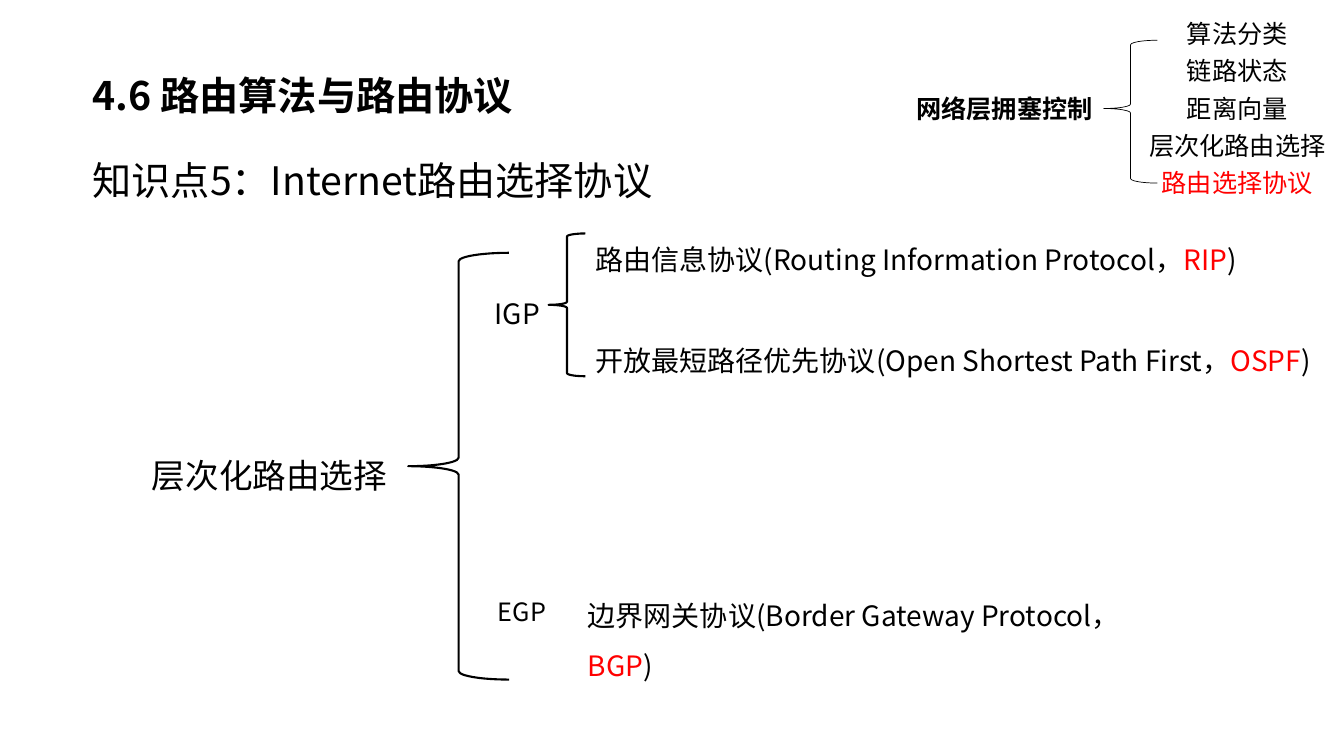
from dataclasses import dataclass
from typing import NamedTuple, Optional

from lxml.etree import SubElement
from pptx import Presentation
from pptx.dml.color import RGBColor as Rgb
from pptx.enum.shapes import MSO_SHAPE as Preset
from pptx.enum.text import MSO_ANCHOR as Anchor, MSO_AUTO_SIZE as AutoSize, PP_ALIGN as Align
from pptx.oxml.ns import qn
from pptx.util import Inches, Pt


@dataclass(frozen=True)
class Theme:
    font: str = "Noto Sans CJK SC"
    ink: Rgb = Rgb(0, 0, 0)
    accent: Rgb = Rgb(255, 0, 0)
    heading: int = 28
    root: int = 24
    branch: int = 20
    small: int = 18


THEME = Theme()
COLUMNS, ROWS = 160, 90


class Area(NamedTuple):
    """Left, top, width and height in grid columns and rows."""
    left: float
    top: float
    width: float
    height: float


class Span(NamedTuple):
    text: str
    color: Rgb = THEME.ink


@dataclass(frozen=True)
class Label:
    area: Area
    paras: list[list[Span]]
    size: int
    bold: bool = False
    spacing: Optional[float] = None
    gap: float = 0
    align: Align = Align.LEFT
    anchor: Anchor = Anchor.TOP
    inset: tuple[float, float] = (0.1, 0.05)
    wrap: bool = True


@dataclass(frozen=True)
class Brace:
    area: Area
    weight: float
    middle: float = 0.5


deck = Presentation()
deck.slide_width, deck.slide_height = Inches(13.33), Inches(7.5)
page = deck.slides.add_slide(deck.slide_layouts[1])


def place(area: Area) -> tuple[int, int, int, int]:
    column, row = deck.slide_width / COLUMNS, deck.slide_height / ROWS
    return (round(area.left * column), round(area.top * row),
            round(area.width * column), round(area.height * row))


def write_label(label: Label, box=None) -> None:
    """Fill a new text box, or the placeholder that is given."""
    if box is None:
        box = page.shapes.add_textbox(*place(label.area))
    else:
        box.left, box.top, box.width, box.height = place(label.area)
    frame = box.text_frame
    frame.word_wrap, frame.auto_size = label.wrap, AutoSize.NONE
    frame.vertical_anchor = label.anchor
    frame.margin_left = frame.margin_right = Inches(label.inset[0])
    frame.margin_top = frame.margin_bottom = Inches(label.inset[1])
    for index, spans in enumerate(label.paras):
        para = frame.add_paragraph() if index else frame.paragraphs[0]
        para.alignment = label.align
        para.space_before = Pt(label.gap if index else 0)
        para.line_spacing = label.spacing
        properties = para._p.get_or_add_pPr()
        properties.set("marL", "0")
        properties.set("indent", "0")
        SubElement(properties, qn("a:buNone"))
        for span in spans:
            run = para.add_run()
            run.text = span.text
            run.font.size, run.font.bold = Pt(label.size), label.bold
            run.font.color.rgb = span.color
            run.font.name = THEME.font
            latin = run.font._element.find(qn("a:latin"))
            east_asian = latin.makeelement(qn("a:ea"), {"typeface": THEME.font})
            latin.addnext(east_asian)


def draw_brace(brace: Brace) -> None:
    shape = page.shapes.add_shape(Preset.LEFT_BRACE, *place(brace.area))
    shape.shadow.inherit = False
    shape.fill.background()
    shape.line.color.rgb = THEME.ink
    shape.line.width = Pt(brace.weight)
    shape.adjustments[1] = brace.middle


def protocol(name: str, short: str) -> list[Span]:
    return [Span(name), Span(short, THEME.accent), Span(")")]


# Headings
write_label(Label(Area(9.6, 7.8, 115.8, 7.1), [[Span("4.6 路由算法与路由协议")]],
                  THEME.heading, bold=True, inset=(0.12, 0.06)), page.shapes.title)
write_label(Label(Area(9.6, 13.8, 145.9, 12.5), [[Span("知识点5：Internet路由选择协议")]],
                  THEME.heading, spacing=1.5, anchor=Anchor.MIDDLE, inset=(0.12, 0.06)))

# Chapter outline at the top right
write_label(Label(Area(107.9, 10.56, 23.8, 4.8), [[Span("网络层拥塞控制")]],
                  THEME.small, bold=True, wrap=False))
TOPICS = [Span("算法分类"), Span("链路状态"), Span("距离向量"),
          Span("层次化路由选择"), Span("路由选择协议", THEME.accent)]
for step, topic in enumerate(TOPICS):
    write_label(Label(Area(135.3, 2.52 + 4.44 * step, 24, 4), [[topic]], THEME.small,
                      spacing=Pt(16), align=Align.CENTER, wrap=False))

# Tree of routing protocols
TREE = [
    Label(Area(16.9, 51.2, 31.6, 8.5), [[Span("层次化路由选择")]], THEME.root, spacing=1.5),
    Label(Area(57.7, 32.76, 9.2, 7.3), [[Span("IGP")]], THEME.branch, spacing=1.5),
    Label(Area(58.1, 68.64, 8.9, 6.7), [[Span("EGP")]], THEME.small, spacing=1.5),
    Label(Area(68.8, 68.64, 72, 12.6),
          [protocol("边界网关协议(Border Gateway Protocol，", "BGP")],
          THEME.branch, spacing=1.5),
]
for node in TREE:
    write_label(node)
write_label(Label(Area(69.7, 26.28, 95, 19.4),
                  [protocol("路由信息协议(Routing Information Protocol，", "RIP"),
                   protocol("开放最短路径优先协议(Open Shortest Path First，", "OSPF")],
                  THEME.branch, spacing=1.5, gap=36.4), page.placeholders[1]
            if hasattr(page, "placeholders") else None)

# Braces
BRACES = [
    Brace(Area(131.4, 4.8, 6.4, 17), 0.5, 0.478),
    Brace(Area(48.6, 30.1, 12, 50.8), 1.5),
    Brace(Area(65.3, 27.8, 4.4, 17), 1.5),
]
for item in BRACES:
    draw_brace(item)

deck.save("out.pptx")
